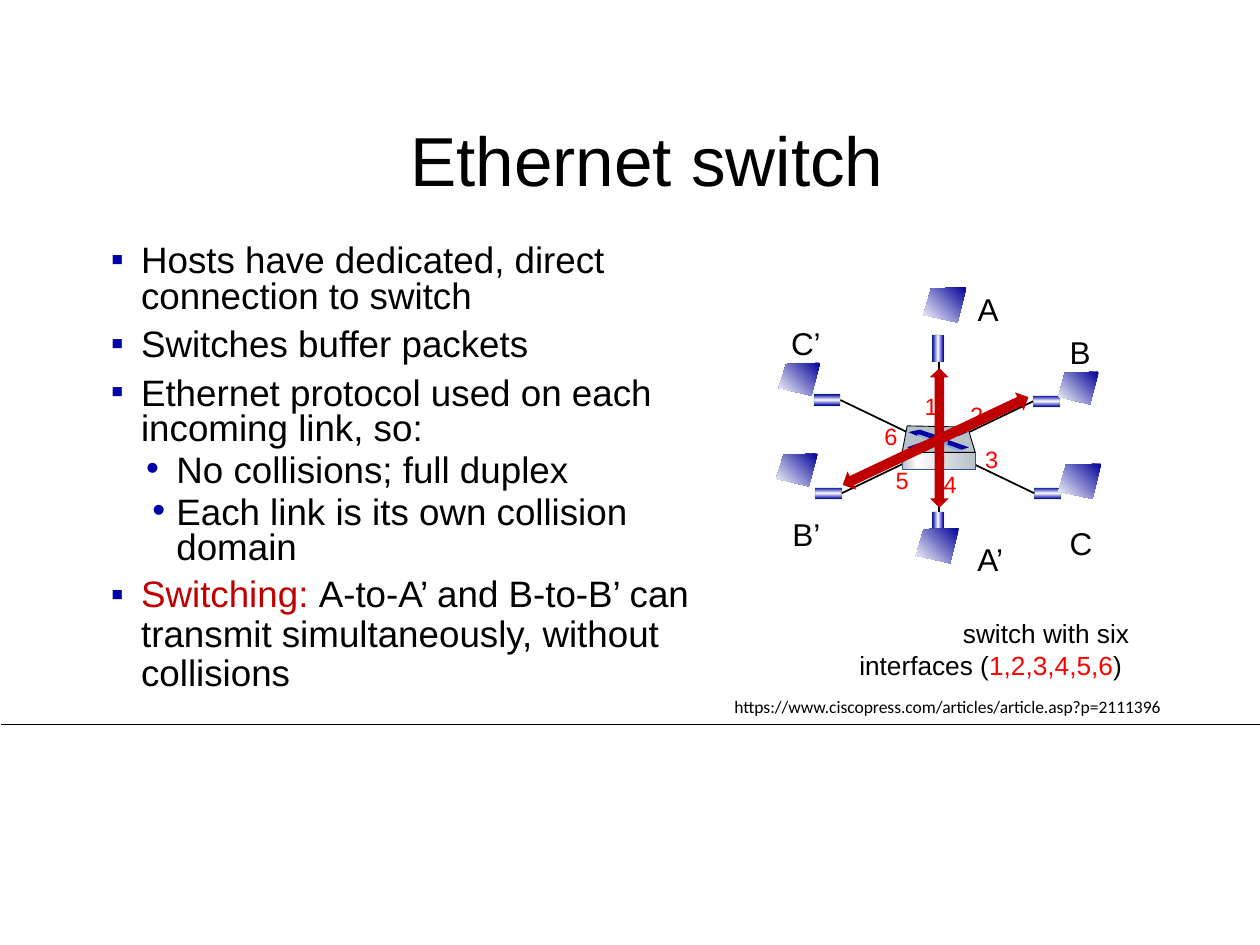
from dataclasses import dataclass

from lxml import etree
from pptx import Presentation
from pptx import util as u
from pptx.dml.color import RGBColor
from pptx.enum import shapes as sh, text as tx
from pptx.oxml.ns import qn

PX = 9144  # 100 px to the inch


@dataclass(frozen=True)
class Theme:
    font: str = "Arial"
    small: str = "Calibri"
    black: str = "000000"
    red: str = "FF0000"
    dark: str = "C00000"
    navy: str = "0000A8"
    arrow: str = "0000A3"
    pale: str = "8FAADC"
    steel: str = "B8C2C9"
    edge: str = "325491"
    green: str = "008000"
    screen: tuple = (135, (0, "000099"), (100, "FFFFFF"))
    side: tuple = (0, (0, "B8C2C9"), (21, "FFFFFF"), (60, "D6DCE0"), (100, "B8C2C9"))
    tube: tuple = ((0, "0000A8"), (50, "FFFFFF"), (99, "0000A8"))
    title: float = 39.6
    body: float = 21
    name: float = 18
    note: float = 15
    digit: float = 13.5
    link: float = 10


T = Theme()


def paint(shape, fill, line=None, width=0.5):
    """Fill with a colour, or with (clockwise angle, stops...), and set the outline."""
    shape.shadow.inherit = False
    if isinstance(fill, str):
        shape.fill.solid()
        shape.fill.fore_color.rgb = RGBColor.from_string(fill)
    else:
        shape.fill.gradient()
        grad = shape._element.spPr.find(qn("a:gradFill"))
        for kid in list(grad):
            grad.remove(kid)
        stops = etree.SubElement(grad, qn("a:gsLst"))
        for pos, tone in fill[1:]:
            stop = etree.SubElement(stops, qn("a:gs"), pos=str(pos * 1000))
            etree.SubElement(stop, qn("a:srgbClr"), val=tone)
        etree.SubElement(grad, qn("a:lin"), ang=str(fill[0] * 60000), scaled="0")
    if line:
        shape.line.color.rgb = RGBColor.from_string(line)
        shape.line.width = u.Pt(width)
    else:
        shape.line.fill.background()


def write(par, runs, size, font=T.font):
    for words, tone in runs:
        run = par.add_run()
        run.text = words
        run.font.size = u.Pt(size)
        run.font.name = font
        run.font.color.rgb = RGBColor.from_string(tone)


prs = Presentation()
prs.slide_width, prs.slide_height = 1000 * PX, 750 * PX
slide = prs.slides.add_slide(prs.slide_layouts[5])
draw = slide.shapes

# Title
head = draw.title
head.left, head.top, head.width, head.height = (v * PX for v in (27, 94, 973, 73))
head.text_frame.vertical_anchor = tx.MSO_ANCHOR.MIDDLE
par = head.text_frame.paragraphs[0]
par.alignment = tx.PP_ALIGN.CENTER
par.line_spacing = 0.9
write(par, [("Ethernet switch", T.black)], T.title)

# Ports, each flat or upright
ports = {}
for name, x, y, flat in (
    ("C’", 646, 313, True), ("B’", 647, 387, True), ("B", 820, 314, True),
    ("C", 821, 387, True), ("A", 740, 266, False), ("A’", 740, 406, False),
):
    w, h = (21, 9) if flat else (9, 21)
    port = draw.add_shape(sh.MSO_SHAPE.RECTANGLE, x * PX, y * PX, w * PX, h * PX)
    paint(port, (90 if flat else 0, *T.tube), T.green, 0.75)
    tone = port.line._ln.find(".//" + qn("a:srgbClr"))
    etree.SubElement(tone, qn("a:alpha"), val="15000")
    ports[name] = port

# Footer rule and cables
for x1, y1, x2, y2, width, ends in (
    (1, 575, 1000, 575, 0.5, None),
    (745, 287, 745, 406, 1, None),
    (667, 318, 821, 391, 1, ("C’", "C")),
    (668, 392, 820, 318, 1, ("B’", "B")),
):
    line = draw.add_connector(sh.MSO_CONNECTOR.STRAIGHT, x1 * PX, y1 * PX, x2 * PX, y2 * PX)
    if ends:
        line.begin_connect(ports[ends[0]], 3)
        line.end_connect(ports[ends[1]], 1)
    line.line.color.rgb = RGBColor.from_string(T.black)
    line.line.width = u.Pt(width)
    etree.SubElement(line._element.spPr, qn("a:effectLst"))

# Host names and interface numbers
names = (("A", 766, 225, 38), ("A’", 766, 424, 44), ("B", 839, 259, 36),
         ("B’", 619, 404, 43), ("C", 839, 411, 38), ("C’", 618, 252, 44))
digits = (("1", 724, 306, 31), ("2", 760, 313, 31), ("3", 772, 348, 31),
          ("4", 739, 368, 31), ("5", 701, 365, 31), ("6", 692, 330, 31))
for items, size, tone, h in ((names, T.name, T.black, 40),
                             (digits, T.digit, T.red, 33)):
    for words, x, y, w in items:
        frame = draw.add_textbox(x * PX, y * PX, w * PX, h * PX).text_frame
        frame.word_wrap = False
        frame.auto_size = tx.MSO_AUTO_SIZE.SHAPE_TO_FIT_TEXT
        write(frame.paragraphs[0], [(words, tone)], size)

# Switch body, its crossed arrows and the host screens
front = draw.add_shape(sh.MSO_SHAPE.RECTANGLE, 716 * PX, 359 * PX, 58 * PX, 14 * PX)
paint(front, T.side, T.edge)
outlines = [
    ([(716, 359), (720, 338), (768, 339), (774, 359)], T.steel, T.black),
    ([(759, 341), (768, 343), (761, 346), (759, 345), (744, 350), (730, 345),
      (728, 346), (721, 343), (730, 341), (745, 346)], T.arrow, None),
    ([(752, 349), (769, 355), (763, 357), (752, 353)], T.arrow, None),
    ([(737, 349), (737, 353), (726, 357), (720, 355)], T.navy, None),
    ([(728, 345), (730, 345), (744, 350), (759, 345), (762, 345), (752, 349),
      (752, 353), (763, 357), (760, 358), (745, 352), (728, 358), (726, 357),
      (737, 353), (737, 349), (728, 346)], T.pale, None),
]
for x, y, w, h in ((618, 288, 33, 26), (616, 360, 33, 26), (840, 295, 32, 26),
                   (840, 368, 34, 28), (727, 419, 34, 28), (733, 228, 34, 28)):
    spots = [(x + w, y), (x + round(0.17 * w), y + 1),
             (x, y + round(0.78 * h)), (x + round(0.79 * w), y + h)]
    outlines.append((spots, T.screen, None))
for spots, fill, line in outlines:
    path = draw.build_freeform(*spots[0], scale=PX)
    path.add_line_segments(spots[1:], close=True)
    paint(path.convert_to_shape(), fill, line)

# Bullet text
lists = (
    ((76, 191, 480, 282), 0.8, (
        (0, 24, [("Hosts have dedicated, direct connection to switch", T.black)]),
        (0, 24, [("Switches buffer packets", T.black)]),
        (0, 24, [("Ethernet protocol used on each incoming link, so:", T.black)]),
        (1, 24, [("No collisions; full duplex", T.black)]),
        (1, 19, [("Each link is its own collision domain", T.black)]))),
    ((76, 453, 551, 122), 0.9, (
        (0, 24, [("Switching: ", T.dark),
                 ("A-to-A’ and B-to-B’ can transmit simultaneously, without collisions",
                  T.black)]),)),
)
for place, gap, items in lists:
    frame = draw.add_textbox(*(v * PX for v in place)).text_frame
    frame.word_wrap = True
    frame.margin_left = frame.margin_right = 7 * PX
    frame.margin_top = frame.margin_bottom = 4 * PX
    for i, (level, hang, runs) in enumerate(items):
        par = frame.add_paragraph() if i else frame.paragraphs[0]
        par.level = level
        par.line_spacing = gap
        if i:
            par.space_before = u.Pt((7.5, 3.8)[level])
        props = par._p.get_or_add_pPr()
        props.set("marL", str((29, 57)[level] * PX))
        props.set("indent", str(-hang * PX))
        tone = etree.SubElement(props, qn("a:buClr"))
        etree.SubElement(tone, qn("a:srgbClr"), val=T.navy)
        etree.SubElement(props, qn("a:buFont"), typeface=T.font)
        etree.SubElement(props, qn("a:buChar"), char="▪•"[level])
        write(par, runs, T.body)

# Caption and link
caption = [("switch with six interfaces (", T.black), ("1,2,3,4,5,6", T.red), (") ", T.black)]
link = [("https://www.ciscopress.com/articles/article.asp?p=2111396", T.black)]
for place, runs, size, font, side, gap in (
    ((668, 485, 238, 61), caption, T.note, T.font, tx.PP_ALIGN.RIGHT, 1.0),
    ((573, 550, 376, 37), link, T.link, T.small, tx.PP_ALIGN.LEFT, 0.85),
):
    frame = draw.add_textbox(*(v * PX for v in place)).text_frame
    frame.word_wrap = True
    par = frame.paragraphs[0]
    par.alignment = side
    par.line_spacing = gap
    write(par, runs, size, font)

# Traffic arrows
for x, y, w, h, turn in ((690, 340, 111, 15, 90), (661, 342, 163, 16, 154.7)):
    flow = draw.add_shape(sh.MSO_SHAPE.LEFT_RIGHT_ARROW, x * PX, y * PX, w * PX, h * PX)
    flow.rotation = turn
    paint(flow, T.dark)

prs.save("out.pptx")
